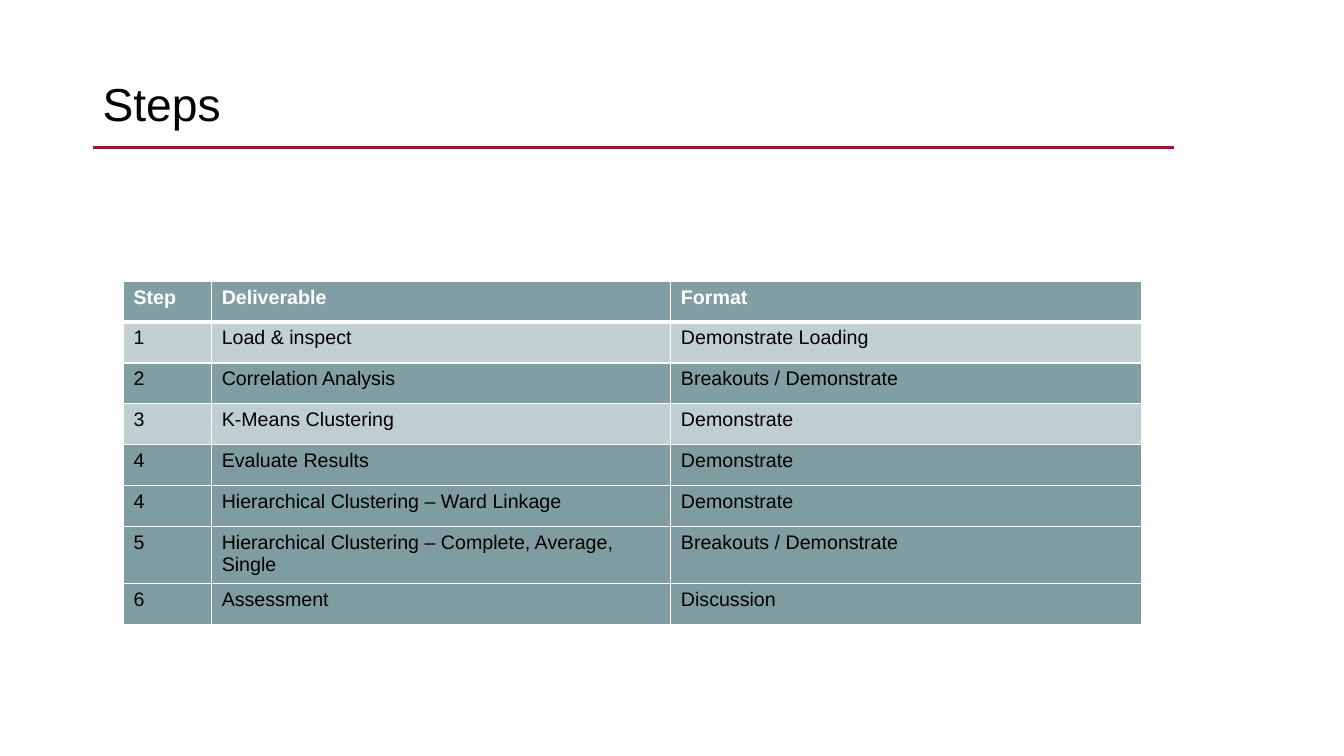
import pptx
import pptx.util
import pptx.dml.color
import pptx.enum.shapes
import pptx.enum.text
import pptx.oxml
import pptx.oxml.ns
import lxml.etree

Pt = pptx.util.Pt
COLORS = {"rule": "971B29", "teal": "2E6064", "text": "000000", "white": "FFFFFF"}
FONT = "Arial"
HEADER = ("Step", "Deliverable", "Format")
STEPS = [
    ("1", "Load & inspect", "Demonstrate Loading", 29),
    ("2", "Correlation Analysis", "Breakouts / Demonstrate", 60),
    ("3", "K-Means Clustering", "Demonstrate", 30),
    ("4", "Evaluate Results", "Demonstrate", 61),
    ("4", "Hierarchical Clustering – Ward Linkage", "Demonstrate", 61),
    ("5", "Hierarchical Clustering – Complete, Average, Single", "Breakouts / Demonstrate", 61),
    ("6", "Assessment", "Discussion", 61),
]


def rgb(name):
    return pptx.dml.color.RGBColor.from_string(COLORS[name])


class SlideBuilder:
    def __init__(self, slide):
        self.slide = slide

    def style(self, paragraph, size, color, bold=False):
        font = paragraph.font
        font.name, font.size, font.bold = FONT, Pt(size), bold
        font.color.rgb = rgb(color)

    def title(self, words, left, top, width, height):
        frame = self.slide.shapes.add_textbox(Pt(left), Pt(top), Pt(width), Pt(height)).text_frame
        frame.word_wrap = True
        frame.vertical_anchor = pptx.enum.text.MSO_ANCHOR.MIDDLE
        heading = frame.paragraphs[0]
        heading.text = words
        heading.line_spacing = 0.9
        self.style(heading, 33, "text")

    def rule(self, left, right, y):
        line = self.slide.shapes.add_connector(
            pptx.enum.shapes.MSO_CONNECTOR.STRAIGHT, Pt(left), Pt(y), Pt(right), Pt(y))
        line.line.color.rgb = rgb("rule")
        line.line.width = Pt(2)
        lxml.etree.SubElement(line._element.spPr, pptx.oxml.ns.qn("a:effectLst"))

    def table(self, left, top, widths, row_height, header, steps):
        rows = [(*header, 60), *steps]
        table = self.slide.shapes.add_table(
            len(rows), len(widths), Pt(left), Pt(top), Pt(sum(widths)), Pt(row_height * len(rows))).table
        table.horz_banding = False
        for column, width in zip(table.columns, widths):
            column.width = Pt(width)
        for index, (*entries, opacity) in enumerate(rows):
            for cell, words in zip(table.rows[index].cells, entries):
                self.cell(cell, words, index, opacity)

    def cell(self, cell, words, row, opacity):
        cell.text = words
        is_header = row == 0
        self.style(cell.text_frame.paragraphs[0], 14, "white" if is_header else "text", is_header)
        cell.fill.solid()
        cell.fill.fore_color.rgb = rgb("teal")
        properties = cell._tc.tcPr
        shade = properties.find(".//" + pptx.oxml.ns.qn("a:srgbClr"))
        lxml.etree.SubElement(shade, pptx.oxml.ns.qn("a:alpha"), val=str(opacity * 1000))
        weights = {"L": 1, "R": 1, "T": 3 if row == 1 else 1, "B": 3 if is_header else 1}
        for position, (side, weight) in enumerate(weights.items()):
            border = pptx.oxml.parse_xml(
                f'<a:ln{side} {pptx.oxml.ns.nsdecls("a")} w="{Pt(weight)}"><a:solidFill>'
                f'<a:srgbClr val="{COLORS["white"]}"/></a:solidFill></a:ln{side}>')
            properties.insert(position, border)


def main():
    deck = pptx.Presentation()
    deck.slide_width, deck.slide_height = Pt(960), Pt(540)
    builder = SlideBuilder(deck.slides.add_slide(deck.slide_layouts[6]))
    builder.rule(66.24, 838.8, 105.12)
    builder.title("Steps", 66.24, 23.76, 828, 104.4)
    builder.table(88.2, 200.9, (63, 328, 336.4), 29.2, HEADER, STEPS)
    deck.save("out.pptx")


if __name__ == "__main__":
    main()
